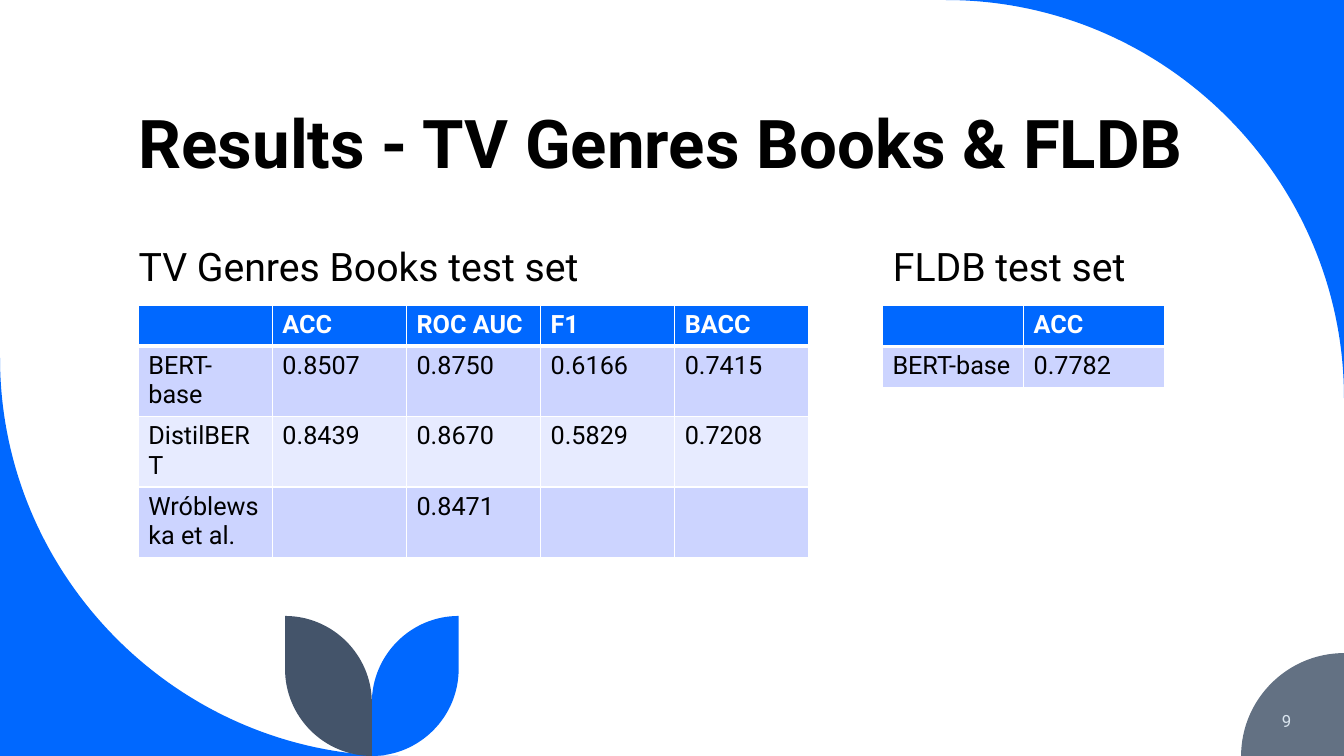
from lxml.etree import SubElement
from pptx import Presentation
from pptx.dml.color import RGBColor
from pptx.enum.text import MSO_ANCHOR as ANCHOR, PP_ALIGN as ALIGN
from pptx.oxml.ns import qn
from pptx.util import Pt

COLORS = {
    "black": "000000",
    "white": "FFFFFF",
    "blue": "0068FF",
    "slate": "44546A",
    "gray": "637183",
    "number": "DAE5EF",
    "band": "CCD4FF",
    "light": "E7EBFF",
}
ROUND = 0.55


def toward(a, b):
    return tuple(u + (v - u) * ROUND for u, v in zip(a, b))


class SlideBuilder:
    font = "Roboto"

    def __init__(self, slide):
        self.slide = slide

    def rgb(self, name):
        return RGBColor.from_string(COLORS[name])

    def outline(self, color, start, *segments):
        points, curves = [start], []
        for *corner, end in segments:
            if corner:
                curves.append(len(points) - 1)
                points += [toward(points[-1], corner[0]), toward(end, corner[0])]
            points.append(end)
        vertices = [(Pt(x), Pt(y)) for x, y in points]
        fb = self.slide.shapes.build_freeform(*vertices[0])
        fb.add_line_segments(vertices[1:], close=True)
        sp = fb.convert_to_shape()
        lines = list(sp._element.iter(qn("a:lnTo")))
        for i in curves:
            first, *rest = lines[i:i + 3]
            first.tag = qn("a:cubicBezTo")
            for line in rest:
                first.append(line[0])
                line.getparent().remove(line)
        sp.shadow.inherit = False
        sp.fill.solid()
        sp.fill.fore_color.rgb = self.rgb(color)
        sp.line.fill.background()

    def run(self, p, text, size, color, bold=False):
        r = p.add_run()
        r.text = text
        r.font.name = self.font
        r.font.size = Pt(size)
        r.font.bold = bold
        r.font.color.rgb = self.rgb(color)

    def text(self, box, text, size, color="black", bold=False,
             anchor=ANCHOR.TOP, align=ALIGN.LEFT, spacing=0.9, before=0):
        tf = self.slide.shapes.add_textbox(*map(Pt, box)).text_frame
        tf.word_wrap = True
        tf.vertical_anchor = anchor
        p = tf.paragraphs[0]
        p.alignment = align
        p.line_spacing = spacing
        p.space_before = Pt(before)
        self.run(p, text, size, color, bold)

    def borders(self, cell, bottom):
        tcPr = cell._tc.get_or_add_tcPr()
        for side, width in (("L", 1), ("R", 1), ("T", 1), ("B", bottom)):
            ln = SubElement(tcPr, qn(f"a:ln{side}"), w=str(Pt(width)))
            fill = SubElement(ln, qn("a:solidFill"))
            SubElement(fill, qn("a:srgbClr"), val=COLORS["white"])

    def table(self, left, top, col_width, header_height, row_height, rows):
        n_rows, n_cols = len(rows), len(rows[0])
        table = self.slide.shapes.add_table(
            n_rows, n_cols, Pt(left), Pt(top), Pt(col_width * n_cols),
            Pt(header_height + row_height * (n_rows - 1))).table
        for col in table.columns:
            col.width = Pt(col_width)
        for i, row in enumerate(rows):
            header = i == 0
            table.rows[i].height = Pt(header_height if header else row_height)
            fill = "blue" if header else ("light", "band")[i % 2]
            for j, value in enumerate(row):
                cell = table.cell(i, j)
                self.borders(cell, 3 if header else 1)
                cell.fill.solid()
                cell.fill.fore_color.rgb = self.rgb(fill)
                if value:
                    self.run(cell.text_frame.paragraphs[0], value, 18,
                             "white" if header else "black", header)


def main():
    prs = Presentation()
    w, h = 960, 540
    prs.slide_width, prs.slide_height = Pt(w), Pt(h)
    s = SlideBuilder(prs.slides.add_slide(prs.slide_layouts[6]))

    corner, disc = 284.4, 73.5
    s.outline("blue", (w, corner), ((w, 0), (w - corner, 0)), ((w, 0),))
    s.outline("blue", (0, h - corner), ((0, h), (corner, h)), ((0, h),))
    s.outline("gray", (w, h - disc),
              ((w - disc, h - disc), (w - disc, h)), ((w, h),))

    stem, leaf, top = 265.6, 62, 440
    for color, tip in (("blue", stem + leaf), ("slate", stem - leaf)):
        s.outline(color, (tip, top), ((tip, h - leaf),), ((tip, h), (stem, h)),
                  ((stem, top + leaf),), ((stem, top), (tip, top)))

    s.text((92, 30.2, 770, 104.4), "Results - TV Genres Books & FLDB", 48,
           bold=True, anchor=ANCHOR.BOTTOM)
    s.text((630.7, 173.5, 282, 222.5), "FLDB test set", 28, before=10)
    s.table(630.3, 218.2, 100.8, 29.2, 29.2, [
        ("", "ACC"),
        ("BERT-base", "0.7782"),
    ])
    s.text((92, 173.5, 360, 222.5), "TV Genres Books test set", 28, before=10)
    s.text((799.2, 500.4, 130.3, 28.8), "9", 12, "number",
           anchor=ANCHOR.MIDDLE, align=ALIGN.RIGHT, spacing=1)
    s.table(98.8, 218.2, 95.8, 28.8, 49.4, [
        ("", "ACC", "ROC AUC", "F1", "BACC"),
        ("BERT-base", "0.8507", "0.8750", "0.6166", "0.7415"),
        ("DistilBERT", "0.8439", "0.8670", "0.5829", "0.7208"),
        ("Wróblewska et al.", "", "0.8471", "", ""),
    ])

    prs.save("out.pptx")


if __name__ == "__main__":
    main()
